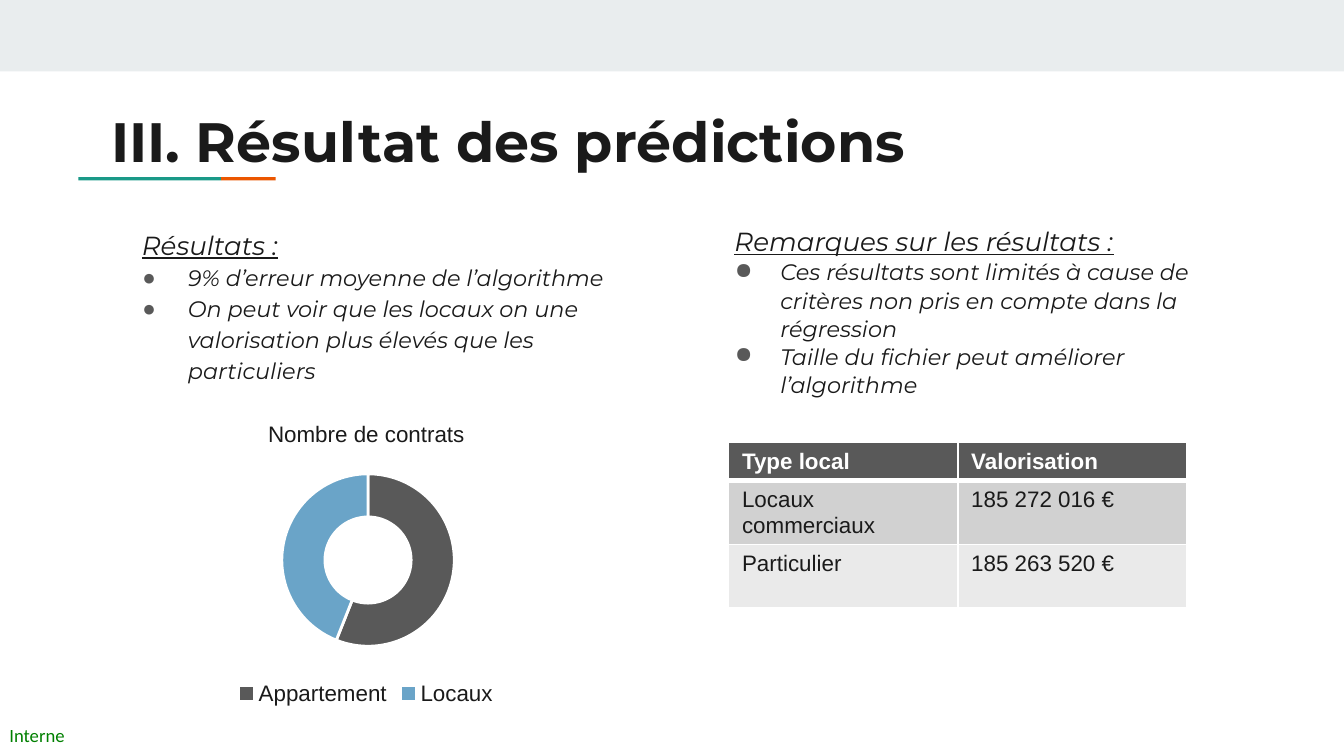
from dataclasses import dataclass

from lxml.etree import SubElement
from pptx import Presentation
from pptx.chart.data import CategoryChartData
from pptx.dml.color import RGBColor
from pptx.enum.chart import XL_CHART_TYPE, XL_LEGEND_POSITION
from pptx.enum.shapes import MSO_SHAPE
from pptx.enum.text import MSO_ANCHOR, MSO_AUTO_SIZE, PP_ALIGN
from pptx.oxml import parse_xml
from pptx.oxml.ns import nsdecls, qn
from pptx.util import Cm, Pt


@dataclass(frozen=True)
class Theme:
    ink: str = "1A1A1A"
    grey: str = "595959"
    white: str = "FFFFFF"
    band: str = "E9EDEE"
    teal: str = "1A9988"
    orange: str = "EB5600"
    blue: str = "6AA4C8"
    green: str = "008000"
    rows: tuple = ("D1D1D1", "EAEAEA")
    display: str = "Montserrat"
    plain: str = "Arial"
    label: str = "Calibri"
    title_size: float = 29.7
    heading_size: float = 14
    text_size: float = 12
    label_size: float = 10


THEME = Theme()


def color(value):
    return RGBColor.from_string(value)


def set_font(font, name, size, value, bold=False, italic=False):
    font.name, font.size, font.bold, font.italic = name, Pt(size), bold, italic
    font.color.rgb = color(value)


def place(shape, box):
    shape.left, shape.top, shape.width, shape.height = (Cm(length) for length in box)


def set_frame(frame, margin):
    frame.word_wrap = True
    frame.auto_size = MSO_AUTO_SIZE.NONE
    frame.vertical_anchor = MSO_ANCHOR.TOP
    frame.margin_left = frame.margin_right = Cm(margin)
    frame.margin_top = frame.margin_bottom = Cm(margin)


def add_bar(slide, box, fill):
    shape = slide.shapes.add_shape(MSO_SHAPE.RECTANGLE, *(Cm(length) for length in box))
    shape.shadow.inherit = False
    shape.fill.solid()
    shape.fill.fore_color.rgb = color(fill)
    shape.line.fill.background()


def add_title(slide, box, text):
    title = slide.shapes.title
    place(title, box)
    set_frame(title.text_frame, 0.25)
    title.text_frame.text = text
    paragraph = title.text_frame.paragraphs[0]
    paragraph.alignment = PP_ALIGN.LEFT
    set_font(paragraph.font, THEME.display, THEME.title_size, THEME.ink, bold=True)

    # Two-colour accent under the title
    left, top = box[0] - 0.37, box[1] + 1.57
    add_bar(slide, (left, top, 2.7, 0.06), THEME.teal)
    add_bar(slide, (left + 2.7, top, 1.03, 0.06), THEME.orange)


def set_indent(paragraph, left, first, bullet):
    properties = paragraph._p.get_or_add_pPr()
    properties.set("marL", str(Cm(left)))
    properties.set("indent", str(Cm(first)))
    if bullet:
        bullet_color = SubElement(properties, qn("a:buClr"))
        SubElement(bullet_color, qn("a:srgbClr")).set("val", THEME.grey)
        SubElement(properties, qn("a:buChar")).set("char", "●")
    else:
        SubElement(properties, qn("a:buNone"))


def fill_notes(shape, box, heading, points, line_spacing):
    """Underlined heading followed by a bulleted list."""
    place(shape, box)
    frame = shape.text_frame
    set_frame(frame, 0.25)
    for index, text in enumerate([heading, *points]):
        is_point = index > 0
        paragraph = frame.add_paragraph() if is_point else frame.paragraphs[0]
        paragraph.text = text
        paragraph.alignment = PP_ALIGN.LEFT
        paragraph.line_spacing = line_spacing
        paragraph.space_before = paragraph.space_after = Pt(0)
        set_indent(paragraph, 1.27 if is_point else 0.4, -0.86 if is_point else 0, is_point)
        size = THEME.text_size if is_point else THEME.heading_size
        set_font(paragraph.font, THEME.display, size, THEME.ink, italic=True)
        paragraph.font.underline = not is_point


def add_contract_chart(slide, box):
    data = CategoryChartData()
    data.categories = ["Appartement", "Locaux"]
    data.add_series("Nombre de contrats", (56, 44))
    chart = slide.shapes.add_chart(
        XL_CHART_TYPE.DOUGHNUT, *(Cm(length) for length in box), data).chart
    set_font(chart.font, THEME.plain, THEME.label_size, THEME.ink)

    chart.has_title = True
    chart.chart_title.include_in_layout = False
    chart.chart_title.text_frame.text = "Nombre de contrats"
    title = chart.chart_title.text_frame.paragraphs[0]
    set_font(title.font, THEME.plain, THEME.text_size, THEME.ink)

    chart.has_legend = True
    chart.legend.position = XL_LEGEND_POSITION.BOTTOM
    chart.legend.include_in_layout = False
    set_font(chart.legend.font, THEME.plain, THEME.text_size, THEME.ink)

    plot = chart.plots[0]
    plot.vary_by_categories = True
    plot._element.find(qn("c:holeSize")).set("val", "75")
    for index, fill in enumerate((THEME.grey, THEME.blue)):
        point = plot.series[0].points[index].format
        point.fill.solid()
        point.fill.fore_color.rgb = color(fill)
        point.line.color.rgb = color(THEME.white)
        point.line.width = Pt(1.5)

    # Ring position as fractions of the chart box
    area = chart._chartSpace.chart.plotArea
    for layout in area.findall(qn("c:layout")):
        area.remove(layout)
    layout = parse_xml(f'<c:layout {nsdecls("c")}/>')
    manual = SubElement(layout, qn("c:manualLayout"))
    settings = {"layoutTarget": "inner", "xMode": "edge", "yMode": "edge",
                "x": 0.25, "y": 0.23, "w": 0.51, "h": 0.56}
    for name, value in settings.items():
        SubElement(manual, qn(f"c:{name}")).set("val", str(value))
    area.insert(0, layout)


def style_cell(cell, fill, text_color, is_header):
    cell.fill.solid()
    cell.fill.fore_color.rgb = color(fill)
    set_font(cell.text_frame.paragraphs[0].font, THEME.plain, THEME.text_size,
             text_color, bold=is_header)
    properties = cell._tc.get_or_add_tcPr()
    for index, side in enumerate("LRTB"):
        width = Pt(3 if is_header and side == "B" else 1)
        properties.insert(index, parse_xml(
            f'<a:ln{side} {nsdecls("a")} w="{width}"><a:solidFill>'
            f'<a:srgbClr val="{THEME.white}"/></a:solidFill></a:ln{side}>'))


def add_value_table(slide, box, rows):
    table = slide.shapes.add_table(
        len(rows), len(rows[0]), *(Cm(length) for length in box)).table
    header_height = 0.72
    body_height = (box[3] - header_height) / (len(rows) - 1)
    for row_index, values in enumerate(rows):
        is_header = row_index == 0
        table.rows[row_index].height = Cm(header_height if is_header else body_height)
        fill = THEME.grey if is_header else THEME.rows[(row_index - 1) % 2]
        for column_index, value in enumerate(values):
            cell = table.cell(row_index, column_index)
            cell.text = value
            style_cell(cell, fill, THEME.white if is_header else THEME.ink, is_header)


def add_label(slide, box, text):
    shape = slide.shapes.add_textbox(*(Cm(length) for length in box))
    set_frame(shape.text_frame, 0)
    shape.text_frame.text = text
    set_font(shape.text_frame.paragraphs[0].font, THEME.label, THEME.label_size, THEME.green)


def main():
    presentation = Presentation()
    presentation.slide_width, presentation.slide_height = Cm(25.4), Cm(14.29)
    slide = presentation.slides.add_slide(presentation.slide_layouts[1])

    # Band, label and title
    add_bar(slide, (0, 0, 25.4, 1.35), THEME.band)
    add_label(slide, (0.18, 13.69, 1.15, 0.43), "Interne")
    add_title(slide, (1.85, 1.78, 21.36, 1.5), "III. Résultat des prédictions")

    # Left column
    fill_notes(slide.placeholders[1], (2.03, 3.99, 10.67, 3.63), "Résultats :", [
        "9% d’erreur moyenne de l’algorithme",
        "On peut voir que les locaux on une valorisation plus élevés que les particuliers",
    ], 1.15)
    add_contract_chart(slide, (3.71, 7.62, 6.43, 5.82))

    # Right column
    remarks = slide.shapes.add_textbox(0, 0, 0, 0)
    fill_notes(remarks, (13.23, 3.99, 10.67, 3.91), "Remarques sur les résultats :", [
        "Ces résultats sont limités à cause de critères non pris en compte dans la régression",
        "Taille du fichier peut améliorer l’algorithme",
    ], 1.05)
    add_value_table(slide, (13.77, 8.36, 8.66, 3.12), [
        ("Type local", "Valorisation"),
        ("Locaux commerciaux", "185 272 016 €"),
        ("Particulier", "185 263 520 €"),
    ])
    presentation.save("out.pptx")


if __name__ == "__main__":
    main()
